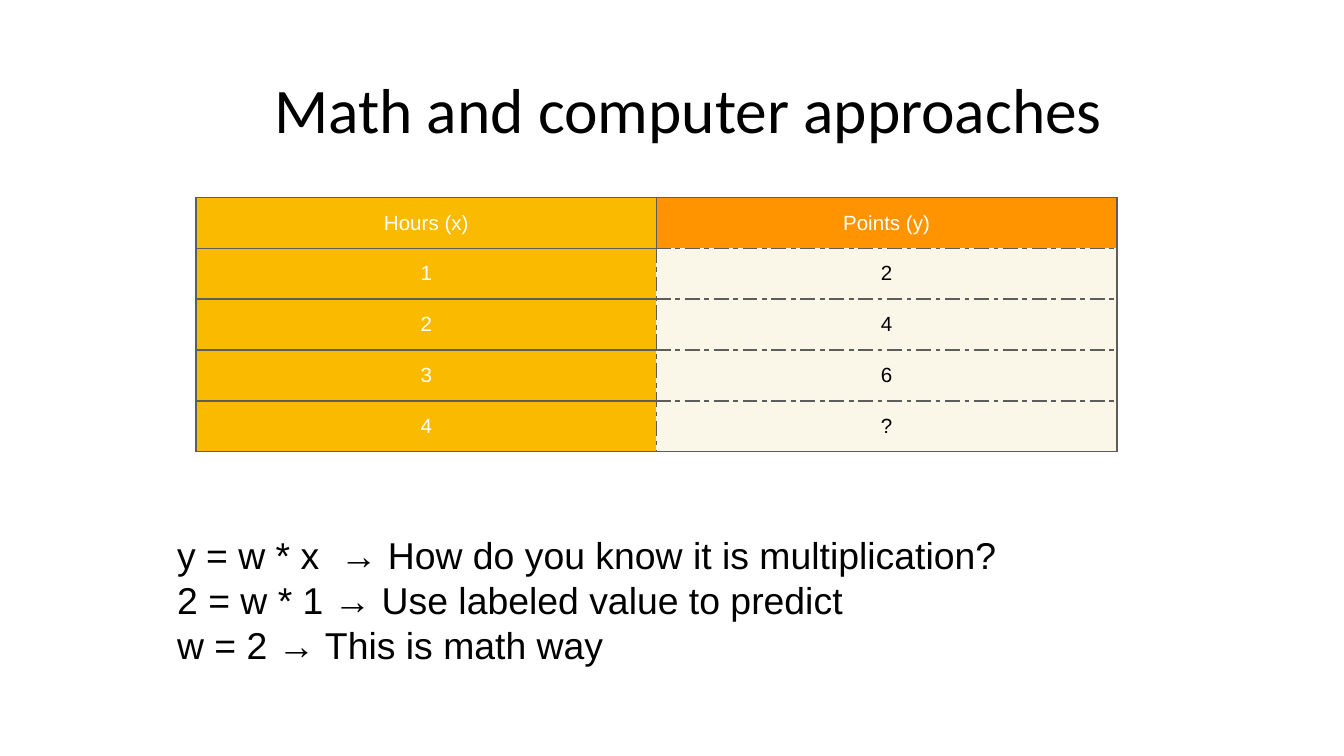
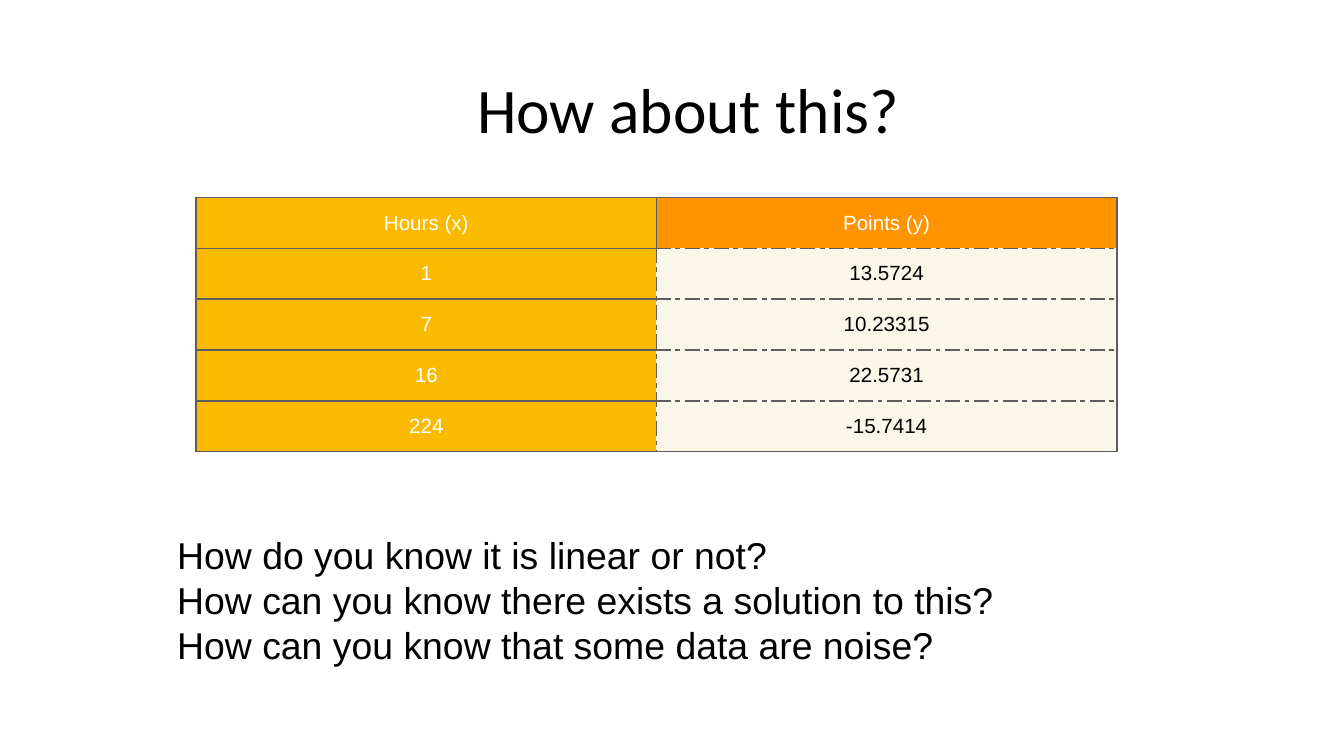
from lxml.etree import SubElement
from pptx import Presentation
from pptx.dml.color import RGBColor
from pptx.enum.text import MSO_ANCHOR, MSO_AUTO_SIZE, PP_ALIGN
from pptx.oxml.ns import qn
from pptx.util import Inches, Pt

BLACK, WHITE, GRAY = "000000", "FFFFFF", "5D5D5D"
GOLD, ORANGE, CREAM = "F9BA00", "FF9400", "FAF7E9"
PAD = 0.02
WIDE = 10
HIGH = WIDE * 9 / 16
HEAD = ("Hours (x)", "Points (y)")

SLIDES = [
    ("Math and computer approaches",
     [("1", "2"), ("2", "4"), ("3", "6"), ("4", "?")],
     ["y = w * x  → How do you know it is multiplication?",
      "2 = w * 1 → Use labeled value to predict",
      "w = 2 → This is math way"]),
    ("How about this?",
     [("1", "13.5724"), ("7", "10.23315"), ("16", "22.5731"), ("224", "-15.7414")],
     ["How do you know it is linear or not?",
      "How can you know there exists a solution to this?",
      "How can you know that some data are noise?"]),
]


def color(code):
    return RGBColor.from_string(code)


def write(frame, text, size=20, font="Arial", ink=BLACK, align=PP_ALIGN.LEFT):
    for i, line in enumerate(text.split("\n")):
        para = frame.paragraphs[0] if i == 0 else frame.add_paragraph()
        para.alignment = align
        run = para.add_run()
        run.text = line
        run.font.size = Pt(size)
        run.font.name = font
        run.font.color.rgb = color(ink)


def inset(item):
    item.margin_left = item.margin_right = Inches(PAD)
    item.margin_top = item.margin_bottom = Inches(PAD)
    item.vertical_anchor = MSO_ANCHOR.MIDDLE


def add_box(slide, *area):
    frame = slide.shapes.add_textbox(*map(Inches, area)).text_frame
    frame.word_wrap = True
    return frame


def add_title(slide, text):
    frame = add_box(slide, 0.59, 0.21, 9.06, 1.19)
    inset(frame)
    write(frame, text, size=34, font="Calibri", align=PP_ALIGN.CENTER)


def add_notes(slide, lines):
    frame = add_box(slide, 1.22, 3.91, 7.17, 1.11)
    frame.auto_size = MSO_AUTO_SIZE.SHAPE_TO_FIT_TEXT
    write(frame, "\n".join(lines))


def add_edge(cell, side, dash):
    line = SubElement(cell._tc.get_or_add_tcPr(), qn(f"a:ln{side}"), w=str(Pt(1)))
    fill = SubElement(line, qn("a:solidFill"))
    SubElement(fill, qn("a:srgbClr"), val=GRAY)
    SubElement(line, qn("a:prstDash"), val=dash)


def get_dashed(row, col, last):
    if col == 0:
        return "R" if row else ""
    if row == 0:
        return "B"
    return "LT" if row == last else "LTB"


def add_table(slide, rows):
    frame = slide.shapes.add_table(len(rows), 2, *map(Inches, (1.46, 1.47, 6.85, 1.89)))
    table = frame.table
    table.horz_banding = False
    for r, row in enumerate(rows):
        for c, text in enumerate(row):
            cell = table.cell(r, c)
            inset(cell)
            dashed = get_dashed(r, c, len(rows) - 1)
            for side in "LRTB":
                add_edge(cell, side, "dashDot" if side in dashed else "solid")
            body = r > 0 and c > 0
            cell.fill.solid()
            cell.fill.fore_color.rgb = color(CREAM if body else ORANGE if c else GOLD)
            write(cell.text_frame, text, size=11, ink=BLACK if body else WHITE,
                  align=PP_ALIGN.CENTER)


def main():
    deck = Presentation()
    deck.slide_width, deck.slide_height = Inches(WIDE), Inches(HIGH)
    for title, rows, lines in SLIDES:
        slide = deck.slides.add_slide(deck.slide_layouts[6])
        add_title(slide, title)
        add_table(slide, [HEAD, *rows])
        add_notes(slide, lines)
    deck.save("out.pptx")


if __name__ == "__main__":
    main()
